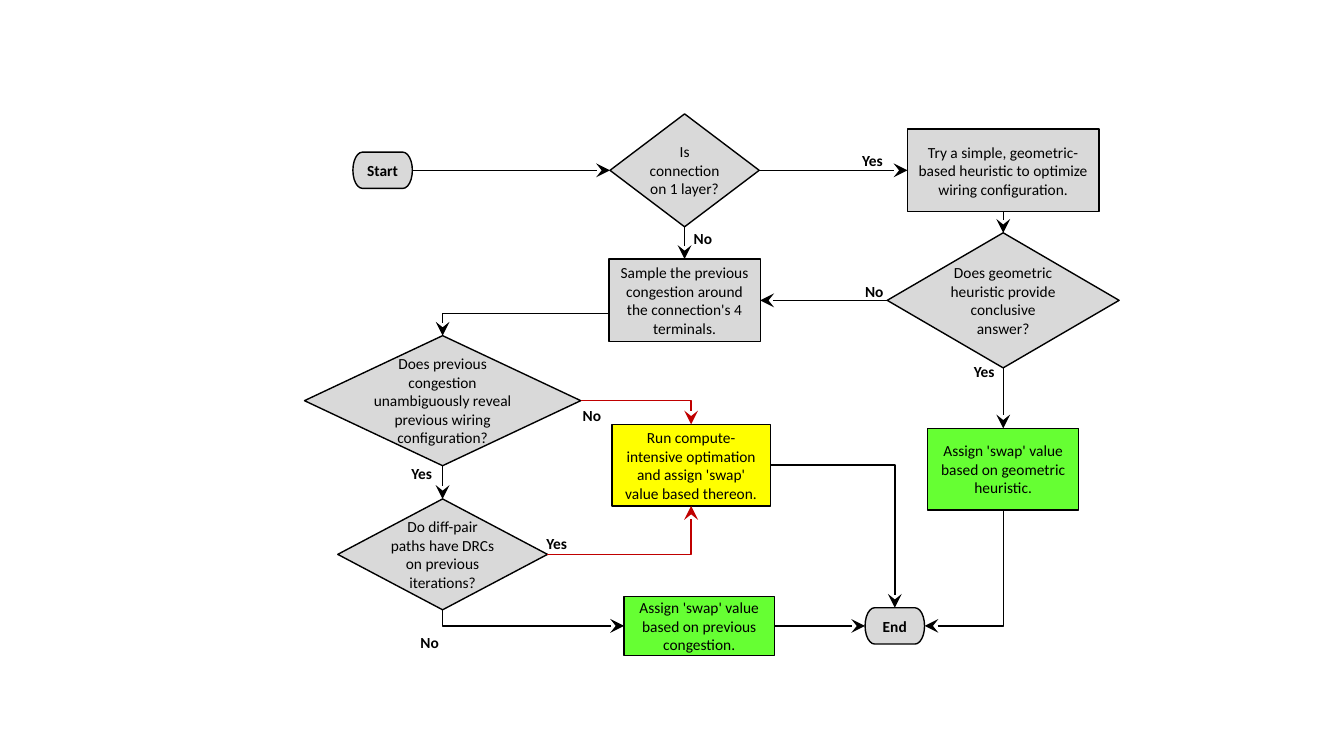
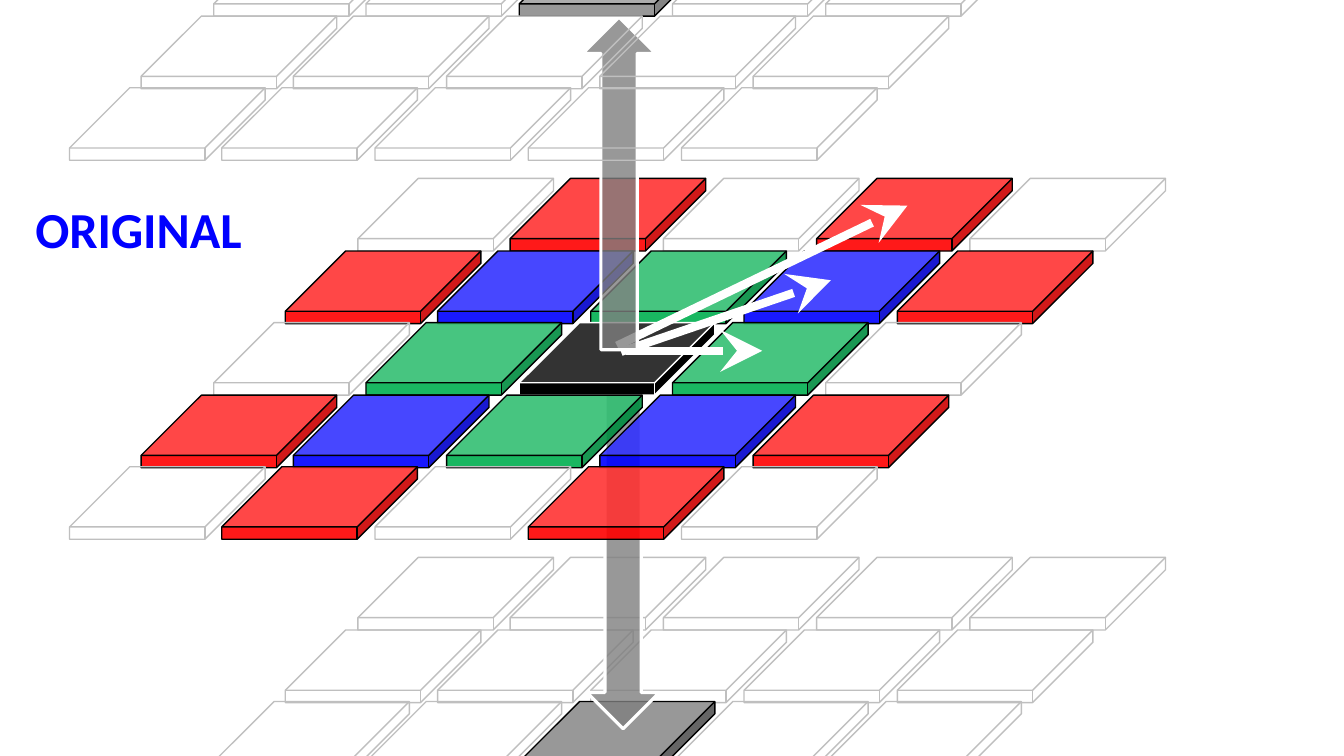
"""Build a routing flowchart slide and a layered tile-neighbourhood slide."""
from dataclasses import dataclass
from typing import Optional

from lxml import etree
from pptx import Presentation
from pptx.dml.color import RGBColor
from pptx.enum.shapes import MSO_CONNECTOR as Route, MSO_SHAPE as Preset
from pptx.enum.text import MSO_ANCHOR as Anchor, MSO_AUTO_SIZE as AutoSize, PP_ALIGN as Align
from pptx.oxml.ns import qn
from pptx.util import Emu, Pt

PX = 9144
FONT = "Calibri"
BLACK = RGBColor(0x00, 0x00, 0x00)
WHITE = RGBColor(0xFF, 0xFF, 0xFF)
PALE = RGBColor(0xD9, 0xD9, 0xD9)
OUTLINE = RGBColor(0xBF, 0xBF, 0xBF)
GRAY = RGBColor(0x7F, 0x7F, 0x7F)
LIME = RGBColor(0x66, 0xFF, 0x33)
YELLOW = RGBColor(0xFF, 0xFF, 0x00)
CRIMSON = RGBColor(0xC0, 0x00, 0x00)
RED = RGBColor(0xFF, 0x00, 0x00)
GREEN = RGBColor(0x00, 0xB0, 0x50)
BLUE = RGBColor(0x00, 0x00, 0xFF)

DECISION = Preset.FLOWCHART_DECISION
PROCESS = Preset.FLOWCHART_PROCESS
TERMINATOR = Preset.FLOWCHART_TERMINATOR
TOP, LEFT, BOTTOM, RIGHT = range(4)


@dataclass(frozen=True)
class Step:
    key: str
    preset: Preset
    box: tuple[int, int, int, int]
    text: str
    fill: RGBColor = PALE


@dataclass(frozen=True)
class Flow:
    source: str
    source_side: int
    target: str
    target_side: int
    bent: bool = False
    color: RGBColor = BLACK


@dataclass(frozen=True)
class Answer:
    text: str
    x: int
    y: int


@dataclass(frozen=True)
class Paint:
    fill: Optional[RGBColor]
    line: RGBColor = BLACK
    opacity: int = 100


@dataclass(frozen=True)
class Layer:
    top: int
    first_row: int
    rows: tuple[str, ...]


STEPS = (
    Step("one_layer", DECISION, (605, 113, 148, 112), "Is connection on 1 layer?"),
    Step("try_simple", PROCESS, (900, 128, 190, 82),
         "Try a simple, geometric-based heuristic to optimize wiring configuration."),
    Step("conclusive", DECISION, (880, 231, 230, 134),
         "Does geometric heuristic provide conclusive answer?"),
    Step("by_geometry", PROCESS, (920, 425, 150, 81),
         "Assign 'swap' value based on geometric heuristic.", LIME),
    Step("start", TERMINATOR, (350, 151, 59, 36), "Start"),
    Step("sample", PROCESS, (604, 257, 150, 82),
         "Sample the previous congestion around the connection's 4 terminals."),
    Step("unambiguous", DECISION, (302, 333, 274, 129),
         "Does previous congestion unambiguously reveal previous wiring configuration?"),
    Step("has_drcs", DECISION, (335, 495, 208, 110),
         "Do diff-pair paths have DRCs on previous iterations?"),
    Step("by_congestion", PROCESS, (619, 592, 149, 58),
         "Assign 'swap' value based on previous congestion.", LIME),
    Step("end", TERMINATOR, (858, 603, 59, 36), "End"),
    Step("compute", PROCESS, (607, 421, 157, 81),
         "Run compute-intensive optimation and assign 'swap' value based thereon.", YELLOW),
)
FLOWS = (
    Flow("start", RIGHT, "one_layer", LEFT),
    Flow("one_layer", RIGHT, "try_simple", LEFT),
    Flow("one_layer", BOTTOM, "sample", TOP),
    Flow("try_simple", BOTTOM, "conclusive", TOP),
    Flow("conclusive", LEFT, "sample", RIGHT),
    Flow("conclusive", BOTTOM, "by_geometry", TOP),
    Flow("unambiguous", BOTTOM, "has_drcs", TOP),
    Flow("by_congestion", RIGHT, "end", LEFT),
    Flow("has_drcs", BOTTOM, "by_congestion", LEFT, bent=True),
    Flow("by_geometry", BOTTOM, "end", RIGHT, bent=True),
    Flow("compute", RIGHT, "end", TOP, bent=True),
    Flow("has_drcs", RIGHT, "compute", BOTTOM, bent=True, color=CRIMSON),
    Flow("unambiguous", RIGHT, "compute", TOP, bent=True, color=CRIMSON),
)
ANSWERS = (
    Answer("Yes", 855, 150), Answer("No", 688, 227), Answer("Yes", 966, 359),
    Answer("No", 858, 279), Answer("Yes", 408, 460), Answer("No", 417, 628),
    Answer("Yes", 542, 530), Answer("No", 578, 403),
)
PAINTS = {
    ".": Paint(None, OUTLINE),
    "R": Paint(RED, opacity=90),
    "G": Paint(GREEN, opacity=90),
    "B": Paint(BLUE, opacity=90),
    "K": Paint(BLACK, WHITE),
    "S": Paint(GRAY),
    "T": Paint(GRAY, opacity=80),
}
LOWER = Layer(553, 0, (".....", ".....", "..S.."))
MIDDLE = Layer(177, 0, (".R.R.", "RBGBR", ".GKG.", "RBGBR", ".R.R."))
UPPER = Layer(-199, 2, ("..T..", ".....", "....."))
RAYS = ((621, 348, 756, 348), (612, 343, 900, 204), (616, 349, 824, 278))


def px(*lengths: int) -> list[Emu]:
    """Turn pixel lengths into EMU."""
    return [Emu(length * PX) for length in lengths]


def paint_shape(shape, paint: Paint, width: float = 1) -> None:
    """Set fill, opacity and outline, without shadow."""
    shape.shadow.inherit = False
    if paint.fill is None:
        shape.fill.background()
    else:
        shape.fill.solid()
        shape.fill.fore_color.rgb = paint.fill
        if paint.opacity < 100:
            color = shape.fill._xPr.find(f"{qn('a:solidFill')}/{qn('a:srgbClr')}")
            etree.SubElement(color, qn("a:alpha"), val=str(paint.opacity * 1000))
    shape.line.color.rgb = paint.line
    shape.line.width = Pt(width)


def format_text(frame, size: int, color: RGBColor, bold: bool, align: Align) -> None:
    """Format every run in a text frame alike."""
    for paragraph in frame.paragraphs:
        paragraph.alignment = align
        for run in paragraph.runs:
            run.font.name = FONT
            run.font.size = Pt(size)
            run.font.bold = bold
            run.font.color.rgb = color


def clear_margins(frame) -> None:
    """Remove the inner margins of a text frame."""
    frame.margin_left = frame.margin_top = frame.margin_right = frame.margin_bottom = 0


def add_arrow(shapes, ends: tuple[int, int, int, int], color: RGBColor, width: float,
              bent: bool = False, at_start: bool = False):
    """Draw an arrow; a bent one runs across first, then up or down."""
    arrow = shapes.add_connector(Route.ELBOW if bent else Route.STRAIGHT, *px(*ends))
    arrow.line.color.rgb = color
    arrow.line.width = Pt(width)
    properties = arrow._element.spPr
    if bent:
        properties.find(qn("a:prstGeom")).set("prst", "bentConnector2")
    etree.SubElement(properties.find(qn("a:ln")), qn("a:headEnd" if at_start else "a:tailEnd"),
                     type="stealth", w="lg", len="lg")
    etree.SubElement(properties, qn("a:effectLst"))
    return arrow


def add_step(shapes, step: Step):
    """Draw one flowchart step."""
    shape = shapes.add_shape(step.preset, *px(*step.box))
    paint_shape(shape, Paint(step.fill))
    frame = shape.text_frame
    frame.word_wrap = True
    frame.vertical_anchor = Anchor.MIDDLE
    if step.preset != PROCESS:
        clear_margins(frame)
    frame.text = step.text
    format_text(frame, 11, BLACK, step.preset == TERMINATOR, Align.CENTER)
    return shape


def side_point(step: Step, side: int) -> tuple[int, int]:
    """Return the middle of one side of a step."""
    x, y, width, height = step.box
    return {TOP: (x + width // 2, y), LEFT: (x, y + height // 2),
            BOTTOM: (x + width // 2, y + height), RIGHT: (x + width, y + height // 2)}[side]


def add_flow(shapes, flow: Flow, steps: dict, drawn: dict) -> None:
    """Join two steps, starting a bent arrow at its horizontal end."""
    begin, end = (flow.source, flow.source_side), (flow.target, flow.target_side)
    reverse = flow.bent and flow.source_side in (TOP, BOTTOM)
    if reverse:
        begin, end = end, begin
    ends = side_point(steps[begin[0]], begin[1]) + side_point(steps[end[0]], end[1])
    arrow = add_arrow(shapes, ends, flow.color, 1, flow.bent, reverse)
    arrow.begin_connect(drawn[begin[0]], begin[1])
    arrow.end_connect(drawn[end[0]], end[1])


def add_answer(shapes, answer: Answer) -> None:
    """Write a Yes or No beside an arrow."""
    label = shapes.add_textbox(*px(answer.x, answer.y, 26, 19))
    frame = label.text_frame
    clear_margins(frame)
    frame.word_wrap = True
    frame.auto_size = AutoSize.NONE
    frame.vertical_anchor = Anchor.MIDDLE
    frame.text = answer.text
    format_text(frame, 11, BLACK, True, Align.LEFT)


def add_layer(shapes, layer: Layer) -> None:
    """Draw a slanted grid of tiles, column by column."""
    tiles = shapes.add_group_shape().shapes
    for column in range(5):
        for row, codes in enumerate(layer.rows, layer.first_row):
            shift = (143 * row + 1) // 2
            left = 355 + column * 607 // 4 - shift
            tile = tiles.add_shape(Preset.CUBE, *px(left, layer.top + shift, 194, 72))
            tile.adjustments[0] = 0.83
            paint_shape(tile, PAINTS[codes[column]])


def add_block_arrow(shapes, preset: Preset, box: tuple[int, int, int, int]) -> None:
    """Draw a translucent arrow between layers."""
    paint_shape(shapes.add_shape(preset, *px(*box)), Paint(GRAY, WHITE, 80), 2.25)


def build_flowchart(deck) -> None:
    """Add the flowchart slide."""
    shapes = deck.slides.add_slide(deck.slide_layouts[6]).shapes
    steps = {step.key: step for step in STEPS}
    drawn = {key: add_step(shapes, step) for key, step in steps.items()}
    for flow in FLOWS:
        add_flow(shapes, flow, steps, drawn)
    to_unambiguous = add_arrow(shapes, (604, 311, 439, 333), BLACK, 1, bent=True)
    to_unambiguous.end_connect(drawn["unambiguous"], TOP)
    for answer in ANSWERS:
        add_answer(shapes, answer)


def build_layers(deck) -> None:
    """Add the slide of stacked tile layers."""
    shapes = deck.slides.add_slide(deck.slide_layouts[5]).shapes
    heading = shapes.title
    heading.left, heading.top, heading.width, heading.height = px(25, 192, 227, 71)
    frame = heading.text_frame
    frame.word_wrap = False
    frame.auto_size = AutoSize.NONE
    frame.vertical_anchor = Anchor.TOP
    frame.text = "ORIGINAL"
    format_text(frame, 36, BLUE, True, Align.LEFT)
    add_layer(shapes, LOWER)
    add_block_arrow(shapes, Preset.DOWN_ARROW, (582, 369, 72, 354))
    add_layer(shapes, MIDDLE)
    for ray in RAYS:
        add_arrow(shapes, ray, WHITE, 6)
    add_block_arrow(shapes, Preset.UP_ARROW, (578, 17, 72, 330))
    add_layer(shapes, UPPER)


def main() -> None:
    """Build and save the deck."""
    deck = Presentation()
    deck.slide_width, deck.slide_height = px(1333, 750)
    build_flowchart(deck)
    build_layers(deck)
    deck.save("out.pptx")


if __name__ == "__main__":
    main()
